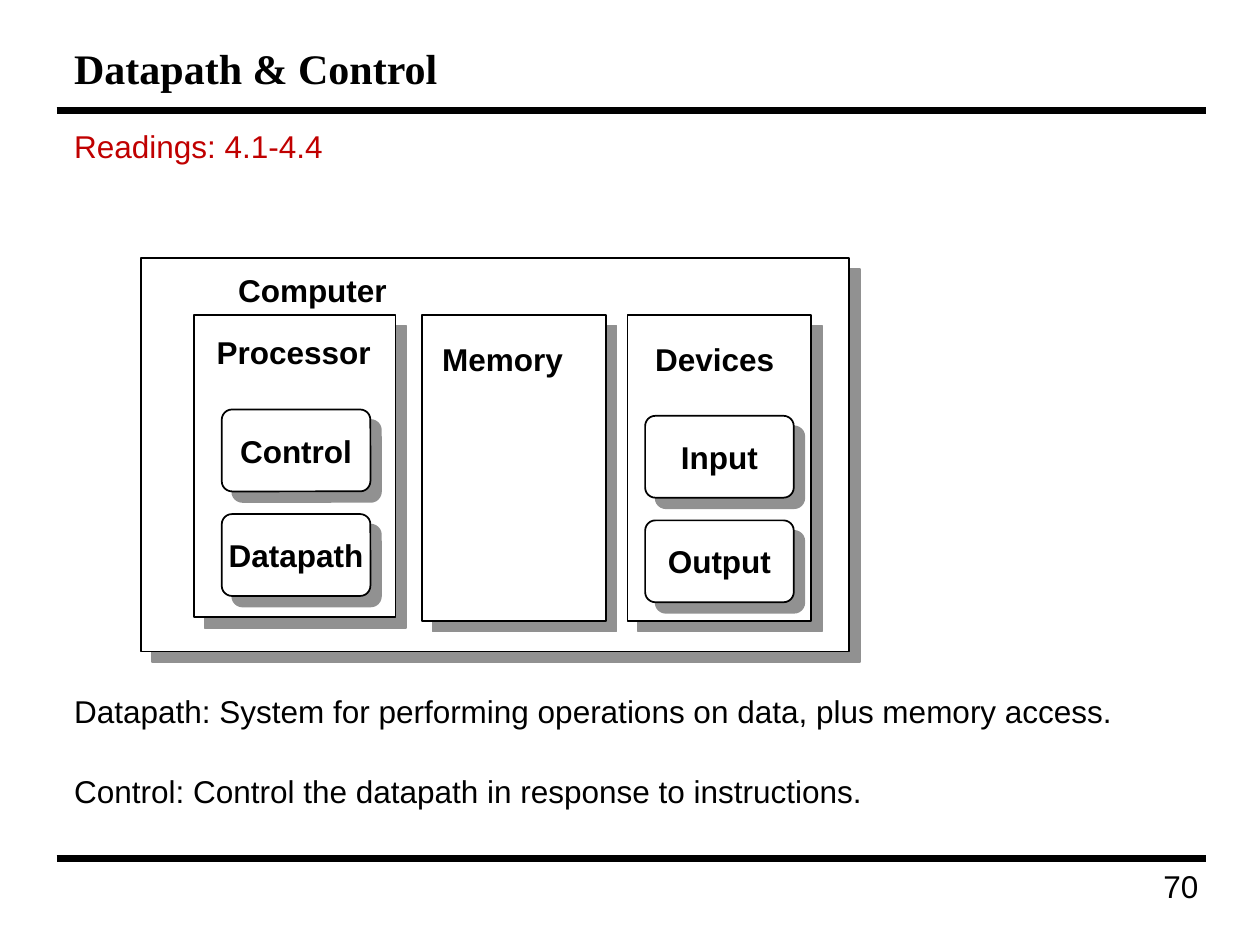
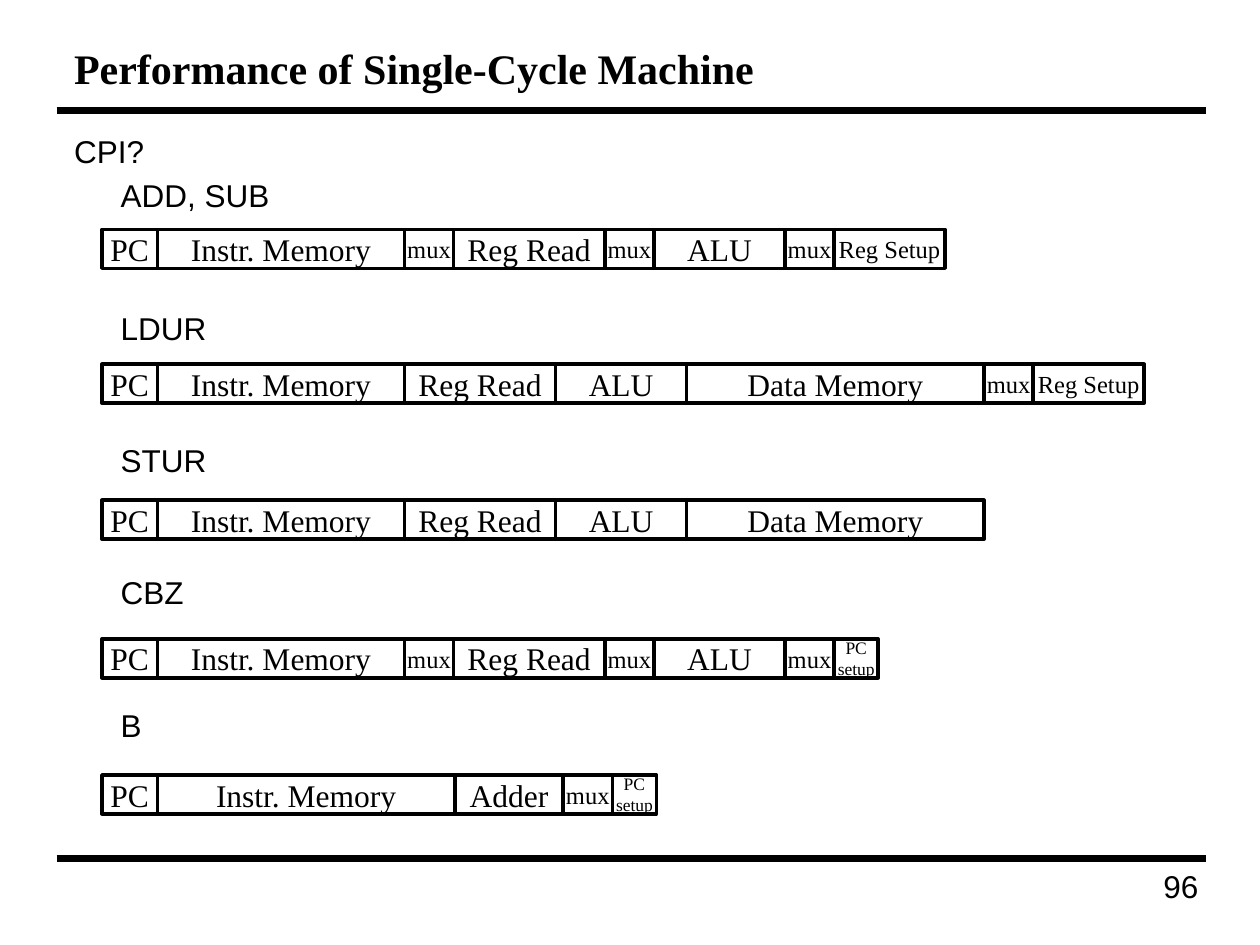
"""Builds two lecture slides on datapath, control and single-cycle timing."""
from lxml.etree import SubElement
from pptx import Presentation
from pptx.dml.color import RGBColor
from pptx.enum.shapes import MSO_CONNECTOR, MSO_SHAPE
from pptx.enum.text import MSO_ANCHOR, PP_ALIGN
from pptx.oxml.ns import qn
from pptx.util import Inches, Pt

BLACK, WHITE, RED, GRAY = "000000", "FFFFFF", "C00000", "919191"
SANS, SERIF = "Arial", "Times New Roman"
LEFT, WIDE = 0.49, 9.04
RULES = (0.88, 6.81)

NOTES = [
    ("Readings: 4.1-4.4", 1.16, RED),
    ("Datapath: System for performing operations on data, plus memory access.", 5.64, BLACK),
    ("Control: Control the datapath in response to instructions.", 6.28, BLACK),
]
BOXES = [
    (1.12, 2.05, 5.62, 3.12),
    (1.54, 2.5, 1.6, 2.4),
    (3.35, 2.5, 1.46, 2.43),
    (4.98, 2.5, 1.46, 2.43),
]
HEADS = [
    ("Computer", 1.82, 2.3),
    ("Processor", 1.65, 2.79),
    ("Memory", 3.44, 2.85),
    ("Devices", 5.13, 2.85),
]
UNITS = [
    (1.76, 3.25, ("Control", "Datapath")),
    (5.12, 3.3, ("Input", "Output")),
]
UNIT_W, UNIT_H, UNIT_STEP = 1.18, 0.65, 0.83

STAGES = {
    "PC": ("PC", 0.44, 18),
    "IM": ("Instr. Memory", 1.96, 18),
    "IM+": ("Instr. Memory", 2.36, 18),
    "MUX": ("mux", 0.39, 14),
    "RR": ("Reg Read", 1.2, 18),
    "ALU": ("ALU", 1.04, 18),
    "ADD": ("Adder", 0.86, 18),
    "DM": ("Data Memory", 2.36, 18),
    "RS": ("Reg Setup", 0.88, 14),
    "PS": ("PC\nsetup", 0.35, 10),
}
BARS = [
    ("ADD, SUB", 1.82, "PC IM MUX RR MUX ALU MUX RS"),
    ("LDUR", 2.89, "PC IM RR ALU DM MUX RS"),
    ("STUR", 3.97, "PC IM RR ALU DM"),
    ("CBZ", 5.07, "PC IM MUX RR MUX ALU MUX PS"),
    ("B", 6.15, "PC IM+ ADD MUX PS"),
]
BAR_X, BAR_H = 0.81, 0.31
LABEL_X, LABEL_Y, LABEL_STEP = 0.86, 1.55, 1.05


def color(code):
    """Turn a hex string into a colour."""
    return RGBColor.from_string(code)


def write(shape, words, size=18, font=SANS, bold=False, ink=BLACK,
          align=PP_ALIGN.LEFT, inset=0.1, wrap=False):
    """Put formatted, vertically centred text into a shape."""
    frame = shape.text_frame
    frame.text = words
    frame.word_wrap = wrap
    frame.vertical_anchor = MSO_ANCHOR.MIDDLE
    frame.margin_left = frame.margin_right = Inches(inset)
    frame.margin_top = frame.margin_bottom = 0
    for para in frame.paragraphs:
        para.alignment = align
        for run in para.runs:
            run.font.size, run.font.name, run.font.bold = Pt(size), font, bold
            run.font.color.rgb = color(ink)


def label(shapes, words, x, mid, wide=WIDE, high=0.31, **style):
    """Add a text box centred on a height."""
    spot = map(Inches, (x, mid - high / 2, wide, high))
    write(shapes.add_textbox(*spot), words, **style)


def box(shapes, spot, kind=MSO_SHAPE.RECTANGLE, width=1, fill=None):
    """Add an outlined box."""
    shape = shapes.add_shape(kind, *map(Inches, spot))
    shape.shadow.inherit = False
    shape.line.color.rgb = color(BLACK)
    shape.line.width = Pt(width)
    if fill:
        shape.fill.solid()
        shape.fill.fore_color.rgb = color(fill)
    else:
        shape.fill.background()
    return shape


def card(shapes, spot, **style):
    """Add a white box with a hard gray shadow."""
    shape = box(shapes, spot, fill=WHITE, **style)
    effects = shape.element.spPr.find(qn("a:effectLst"))
    shade = SubElement(effects, qn("a:outerShdw"), dist=str(Pt(8.5)),
                       dir="2700000", algn="ctr", rotWithShape="0")
    SubElement(shade, qn("a:srgbClr"), val=GRAY)
    return shape


def start(deck, title, number):
    """Add a slide with its rules, title and number."""
    shapes = deck.slides.add_slide(deck.slide_layouts[6]).shapes
    for y in RULES:
        rule = shapes.add_connector(
            MSO_CONNECTOR.STRAIGHT, *map(Inches, (0.45, y, 9.57, y)))
        rule.line.color.rgb = color(BLACK)
        rule.line.width = Pt(4)
        SubElement(rule.element.spPr, qn("a:effectLst"))
    label(shapes, title, LEFT, 0.54, high=0.58, size=24, font=SERIF,
          bold=True, wrap=True)
    label(shapes, number, 7.56, 7.03, wide=2.05, align=PP_ALIGN.RIGHT, wrap=True)
    return shapes


def parts(deck):
    """Draw the parts of a computer."""
    shapes = start(deck, "Datapath & Control", "70")
    for words, mid, ink in NOTES:
        label(shapes, words, LEFT, mid, ink=ink, wrap=True)
    group = shapes.add_group_shape().shapes
    for spot in BOXES:
        card(group, spot)
    for words, x, mid in HEADS:
        label(group, words, x, mid, wide=1.4, bold=True, inset=0.07)
    for x, top, names in UNITS:
        for row, name in enumerate(names):
            spot = (x, top + row * UNIT_STEP, UNIT_W, UNIT_H)
            unit = card(group, spot, kind=MSO_SHAPE.ROUNDED_RECTANGLE)
            unit.adjustments[0] = 0.125
            write(unit, name, bold=True, align=PP_ALIGN.CENTER, inset=0)


def timing(deck):
    """Draw one bar of stages for each instruction."""
    shapes = start(deck, "Performance of Single-Cycle Machine", "96")
    label(shapes, "CPI?", LEFT, 1.2, wrap=True)
    for row, (name, top, keys) in enumerate(BARS):
        label(shapes, name, LABEL_X, LABEL_Y + row * LABEL_STEP, wide=2)
        group = shapes.add_group_shape().shapes
        x = BAR_X
        for key in keys.split():
            words, wide, size = STAGES[key]
            stage = box(group, (x, top, wide, BAR_H), width=2)
            write(stage, words, size=size, font=SERIF,
                  align=PP_ALIGN.CENTER, inset=0)
            x += wide


def main():
    """Build and save the deck."""
    deck = Presentation()
    deck.slide_width, deck.slide_height = Inches(10), Inches(7.5)
    parts(deck)
    timing(deck)
    deck.save("out.pptx")


if __name__ == "__main__":
    main()
